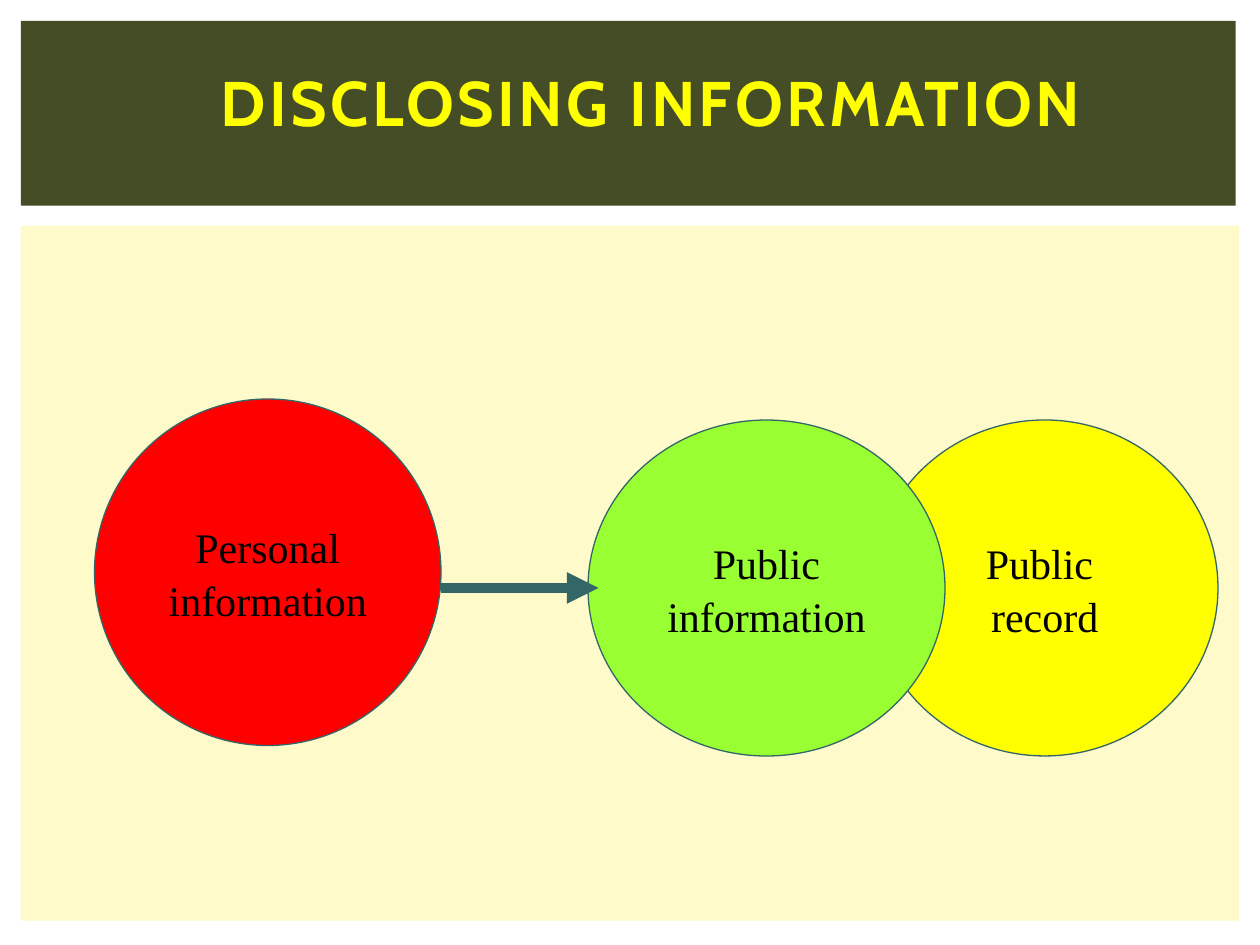
from dataclasses import dataclass

from lxml import etree
from pptx import Presentation
from pptx.dml.color import RGBColor
from pptx.enum.shapes import MSO_CONNECTOR as Connector, MSO_SHAPE as Shape
from pptx.enum.text import MSO_ANCHOR as Anchor, PP_ALIGN as Align
from pptx.oxml.ns import qn
from pptx.util import Inches, Pt


@dataclass(frozen=True)
class Theme:
    header: str = "444D26"
    panel: str = "FEFAC9"
    title: str = "FFFF00"
    text: str = "000000"
    outline: str = "336666"
    personal: str = "FF0000"
    public: str = "99FF33"
    record: str = "FFFF00"
    title_font: str = "Cabin"
    body_font: str = "Times New Roman"
    title_size: int = 36
    body_size: int = 24
    title_tracking: int = 2
    outline_width: float = 0.75
    arrow_width: int = 6


class SlideBuilder:
    COLUMNS, ROWS = 120, 90

    def __init__(self, deck, theme):
        self.deck = deck
        self.theme = theme
        self.page = deck.slides.add_slide(deck.slide_layouts[6])

    def place(self, left, top, width, height):
        column = self.deck.slide_width / self.COLUMNS
        row = self.deck.slide_height / self.ROWS
        return [round(length) for length in (left * column, top * row, width * column, height * row)]

    def shape(self, kind, area, color):
        shape = self.page.shapes.add_shape(kind, *self.place(*area))
        shape.shadow.inherit = False
        shape.fill.solid()
        shape.fill.fore_color.rgb = RGBColor.from_string(color)
        shape.line.fill.background()
        return shape

    def label(self, shape, lines, font, size, color, spacing, bold=False):
        frame = shape.text_frame
        frame.word_wrap = True
        frame.vertical_anchor = Anchor.MIDDLE
        frame.text = "\n".join(lines)
        for para in frame.paragraphs:
            para.alignment = Align.CENTER
            para.line_spacing = spacing
            para.font.name = font
            para.font.size = Pt(size)
            para.font.bold = bold
            para.font.color.rgb = RGBColor.from_string(color)
        return frame

    def band(self, area, color):
        self.shape(Shape.RECTANGLE, area, color)

    def title(self, area, text):
        theme = self.theme
        box = self.page.shapes.add_textbox(*self.place(*area))
        frame = self.label(box, [text], theme.title_font, theme.title_size, theme.title, 0.93, bold=True)
        span = frame.paragraphs[0].runs[0]
        span._r.get_or_add_rPr().set("spc", str(theme.title_tracking * 100))

    def circle(self, area, color, lines):
        theme = self.theme
        circle = self.shape(Shape.OVAL, area, color)
        circle.line.color.rgb = RGBColor.from_string(theme.outline)
        circle.line.width = Pt(theme.outline_width)
        self.label(circle, lines, theme.body_font, theme.body_size, theme.text, 1.05)

    def arrow(self, start, end, row):
        left, top, right, bottom = self.place(start, row, end, row)
        arrow = self.page.shapes.add_connector(Connector.STRAIGHT, left, top, right, bottom)
        arrow.line.color.rgb = RGBColor.from_string(self.theme.outline)
        arrow.line.width = Pt(self.theme.arrow_width)
        properties = arrow._element.spPr
        etree.SubElement(properties.find(qn("a:ln")), qn("a:tailEnd"), type="triangle")
        etree.SubElement(properties, qn("a:effectLst"))


def main():
    deck = Presentation()
    deck.slide_width, deck.slide_height = Inches(10), Inches(7.5)
    theme = Theme()
    slide = SlideBuilder(deck, theme)
    slide.band((2, 21.5, 116, 66.2), theme.panel)
    slide.band((2, 2, 115.7, 17.6), theme.header)
    slide.title((16, 0, 92, 20), "DISCLOSING INFORMATION")
    slide.circle((9, 38, 33, 33), theme.personal, ["Personal", "information"])
    slide.circle((83, 40, 33, 32), theme.record, ["Public ", "record"])
    slide.circle((56, 40, 34, 32), theme.public, ["Public", "information"])
    slide.arrow(42, 57, 56)
    deck.save("out.pptx")


if __name__ == "__main__":
    main()
